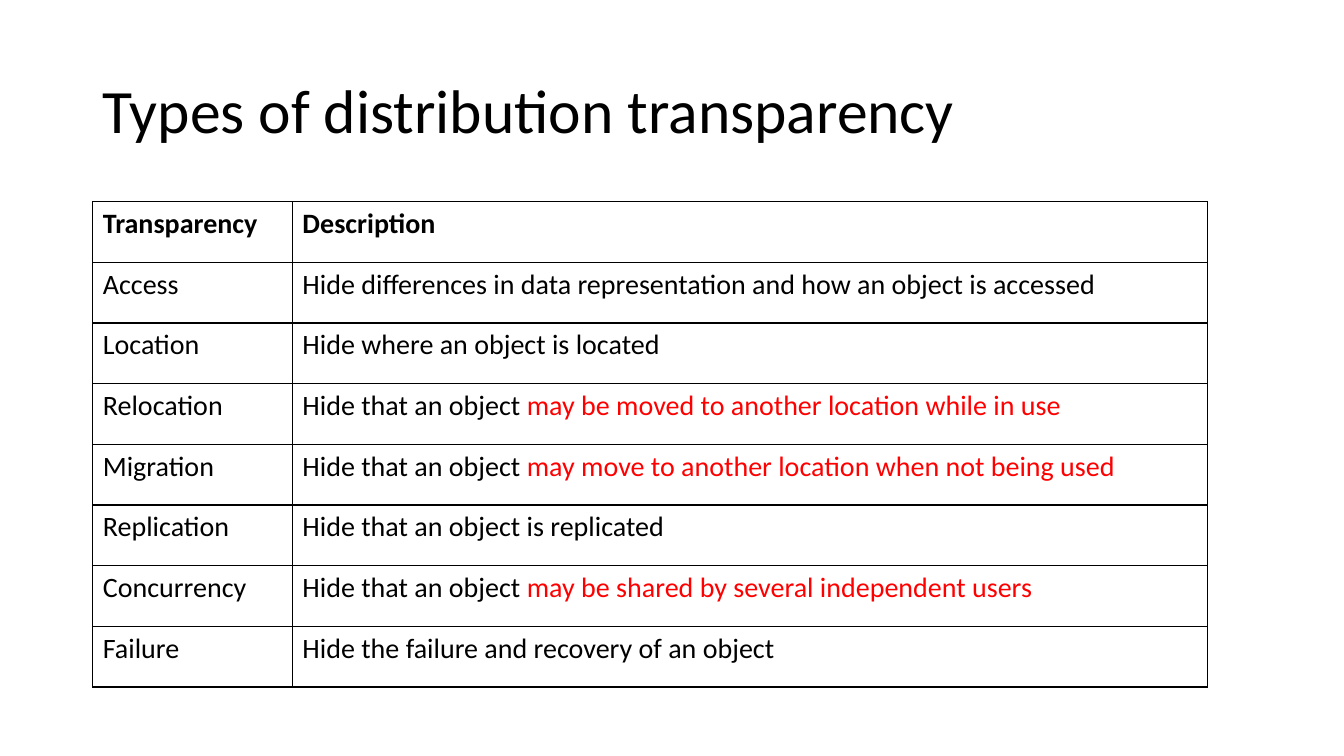
import pptx
import pptx.dml.color
import pptx.enum.text
import pptx.oxml
import pptx.oxml.ns
import pptx.util
from pptx.util import Inches

COLORS = {"text": "000000", "accent": "FF0000", "border": "000000", "cell": "FFFFFF"}
FONT = "Calibri"
ROW_HEIGHT = 0.602
COLUMN_WIDTHS = (1.98, 9.08)
TRANSPARENCIES = [
    ("Transparency", "Description", ""),
    ("Access", "Hide differences in data representation and how an object is accessed", ""),
    ("Location", "Hide where an object is located", ""),
    ("Relocation", "Hide that an object ", "may be moved to another location while in use"),
    ("Migration", "Hide that an object ", "may move to another location when not being used"),
    ("Replication", "Hide that an object is replicated", ""),
    ("Concurrency", "Hide that an object ", "may be shared by several independent users"),
    ("Failure", "Hide the failure and recovery of an object", ""),
]


def write(p, text, size=20, color="text", bold=False):
    r = p.add_run()
    r.text = text
    r.font.name = FONT
    r.font.size = pptx.util.Pt(size)
    r.font.bold = bold
    r.font.color.rgb = pptx.dml.color.RGBColor.from_string(COLORS[color])


class SlideBuilder:
    """Draws styled elements on the current slide."""

    def __init__(self, slide):
        self.slide = slide

    def title(self, text, left, top, width, height):
        sp = self.slide.shapes.add_textbox(
            Inches(left), Inches(top), Inches(width), Inches(height))
        tf = sp.text_frame
        tf.word_wrap = True
        tf.vertical_anchor = pptx.enum.text.MSO_ANCHOR.MIDDLE
        p = tf.paragraphs[0]
        p.line_spacing = 0.9
        write(p, text, size=44)

    def border(self, cell):
        tcPr = cell._tc.get_or_add_tcPr()
        for i, side in enumerate(("lnL", "lnR", "lnT", "lnB")):
            tcPr.insert(i, pptx.oxml.parse_xml(
                f'<a:{side} {pptx.oxml.ns.nsdecls("a")} w="12700"><a:solidFill>'
                f'<a:srgbClr val="{COLORS["border"]}"/></a:solidFill></a:{side}>'))

    def table(self, rows, left, top):
        table = self.slide.shapes.add_table(
            len(rows), len(COLUMN_WIDTHS), Inches(left), Inches(top),
            Inches(sum(COLUMN_WIDTHS)), Inches(ROW_HEIGHT * len(rows))).table
        table.horz_banding = False
        for column, width in zip(table.columns, COLUMN_WIDTHS):
            column.width = Inches(width)
        for i, (name, description, highlight) in enumerate(rows):
            table.rows[i].height = Inches(ROW_HEIGHT)
            for j, text in enumerate((name, description)):
                cell = table.cell(i, j)
                cell.fill.solid()
                cell.fill.fore_color.rgb = pptx.dml.color.RGBColor.from_string(COLORS["cell"])
                self.border(cell)
                p = cell.text_frame.paragraphs[0]
                write(p, text, bold=i == 0)
                if j == 1 and highlight:
                    write(p, highlight, color="accent")


def main():
    prs = pptx.Presentation()
    prs.slide_width = Inches(13.33)
    prs.slide_height = Inches(7.5)
    builder = SlideBuilder(prs.slides.add_slide(prs.slide_layouts[6]))
    builder.title("Types of distribution transparency", 0.92, 0.4, 11.5, 1.45)
    builder.table(TRANSPARENCIES, 0.92, 2)
    prs.save("out.pptx")


if __name__ == "__main__":
    main()
